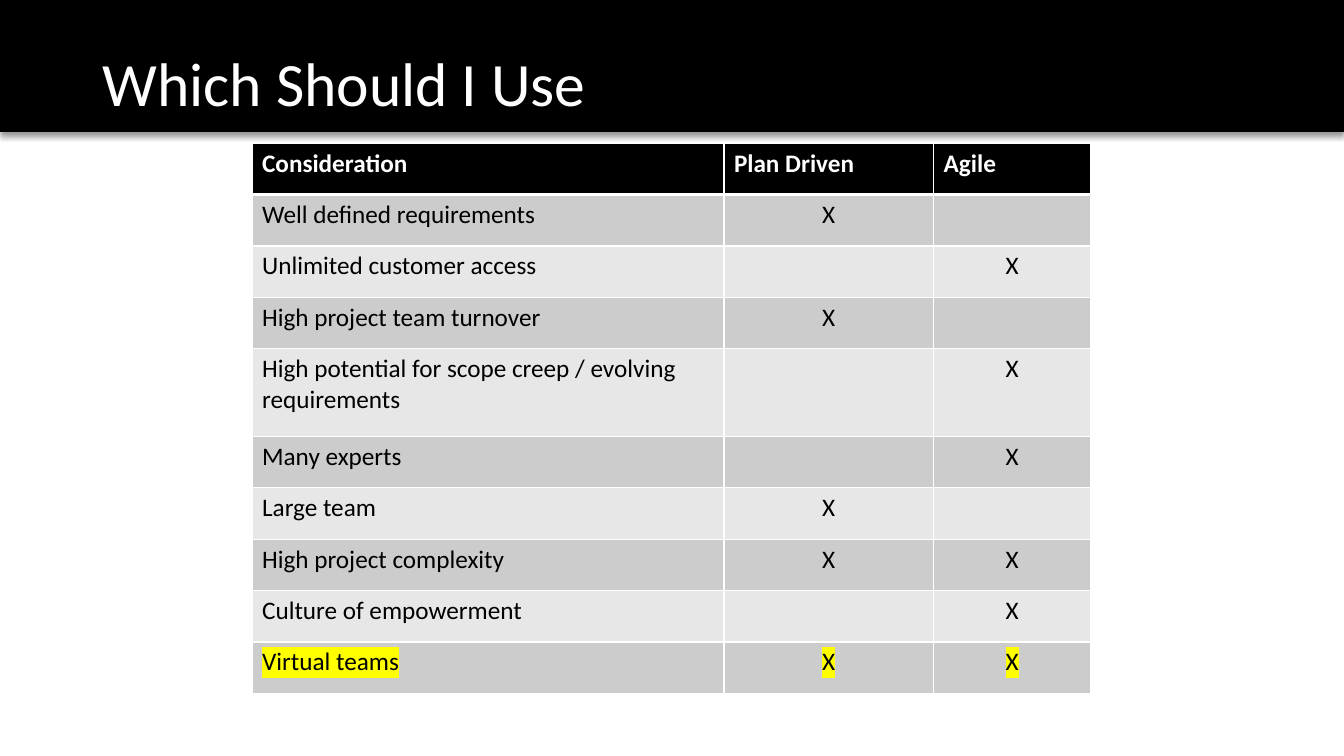
"""Build the slide that compares plan-driven and agile considerations."""
from dataclasses import dataclass

import pptx
import pptx.dml.color
import pptx.enum.shapes
import pptx.enum.text
import pptx.oxml
import pptx.oxml.ns
import pptx.util

Inches = pptx.util.Inches
Pt = pptx.util.Pt
ALIGN = pptx.enum.text.PP_ALIGN
NAMESPACE = pptx.oxml.ns.nsdecls("a")


@dataclass(frozen=True)
class Theme:
    """Colours, font and type sizes of the slide."""
    font: str = "Calibri"
    dark: str = "000000"
    light: str = "FFFFFF"
    bands: tuple = ("CCCCCC", "E7E7E7")
    highlight: str = "FFFF00"
    title_size: int = 44
    table_size: int = 18
    border: int = 1
    header_border: int = 3


THEME = Theme()
HEADERS = ("Consideration", "Plan Driven", "Agile")
CONSIDERATIONS = (
    ("Well defined requirements", "X", ""),
    ("Unlimited customer access", "", "X"),
    ("High project team turnover", "X", ""),
    ("High potential for scope creep / evolving requirements", "", "X"),
    ("Many experts", "", "X"),
    ("Large team", "X", ""),
    ("High project complexity", "X", "X"),
    ("Culture of empowerment", "", "X"),
    ("Virtual teams", "X", "X"),
)
COLUMN_WIDTHS = (4.68, 2.08, 1.56)
ROW_HEIGHT = 0.51
TALL_ROW, TALL_HEIGHT = 4, 0.87
HIGHLIGHTED_ROW = len(CONSIDERATIONS)


def rgb(color):
    """Return a colour object for a hex string."""
    return pptx.dml.color.RGBColor.from_string(color)


def add_run(paragraph, text, size, color, bold=False):
    """Add a styled run to a paragraph and return it."""
    run = paragraph.add_run()
    run.text = text
    run.font.name = THEME.font
    run.font.size = Pt(size)
    run.font.bold = bold
    run.font.color.rgb = rgb(color)
    return run


def highlight_run(run, color):
    """Mark the background of a run."""
    fill = run.font._element.find(pptx.oxml.ns.qn("a:solidFill"))
    fill.addnext(pptx.oxml.parse_xml(
        f'<a:highlight {NAMESPACE}><a:srgbClr val="{color}"/></a:highlight>'))


def add_banner(slide, width, height):
    """Add the dark title band with its soft shadow."""
    banner = slide.shapes.add_shape(
        pptx.enum.shapes.MSO_SHAPE.RECTANGLE, 0, 0, width, height)
    banner.fill.solid()
    banner.fill.fore_color.rgb = rgb(THEME.dark)
    banner.line.fill.background()
    banner._element.spPr.append(pptx.oxml.parse_xml(
        f'<a:effectLst {NAMESPACE}><a:outerShdw blurRad="{Pt(4)}" dist="{Pt(3)}" '
        f'dir="5400000" algn="t" rotWithShape="0"><a:srgbClr val="{THEME.dark}">'
        '<a:alpha val="40000"/></a:srgbClr></a:outerShdw></a:effectLst>'))


def add_title(slide, text):
    """Add the slide title over the band."""
    box = slide.shapes.add_textbox(Inches(0.92), Inches(0.4), Inches(11.5), Inches(0.91))
    frame = box.text_frame
    frame.word_wrap = True
    frame.vertical_anchor = pptx.enum.text.MSO_ANCHOR.MIDDLE
    paragraph = frame.paragraphs[0]
    paragraph.line_spacing = 0.9
    add_run(paragraph, text, THEME.title_size, THEME.light)


def set_borders(cell, top, bottom):
    """Draw light lines on all four sides of a cell."""
    properties = cell._tc.get_or_add_tcPr()
    sides = {"L": THEME.border, "R": THEME.border, "T": top, "B": bottom}
    for side, width in sides.items():
        properties.append(pptx.oxml.parse_xml(
            f'<a:ln{side} {NAMESPACE} w="{Pt(width)}"><a:solidFill>'
            f'<a:srgbClr val="{THEME.light}"/></a:solidFill></a:ln{side}>'))


def fill_cell(cell, text, row, column):
    """Style one table cell by its row and column, and write its text."""
    is_header = row == 0
    set_borders(cell,
                THEME.header_border if row == 1 else THEME.border,
                THEME.header_border if is_header else THEME.border)
    cell.fill.solid()
    cell.fill.fore_color.rgb = rgb(THEME.dark if is_header else THEME.bands[(row - 1) % 2])
    paragraph = cell.text_frame.paragraphs[0]
    if not text:
        paragraph.font.size = Pt(THEME.table_size)
        return
    if column and not is_header:
        paragraph.alignment = ALIGN.CENTER
    run = add_run(paragraph, text, THEME.table_size,
                  THEME.light if is_header else THEME.dark, bold=is_header)
    if row == HIGHLIGHTED_ROW:
        highlight_run(run, THEME.highlight)


def add_comparison(slide):
    """Add the table of considerations."""
    rows = (HEADERS, *CONSIDERATIONS)
    heights = [TALL_HEIGHT if row == TALL_ROW else ROW_HEIGHT for row in range(len(rows))]
    table = slide.shapes.add_table(
        len(rows), len(HEADERS), Inches(2.5), Inches(1.42),
        Inches(sum(COLUMN_WIDTHS)), Inches(sum(heights))).table
    for column, width in zip(table.columns, COLUMN_WIDTHS):
        column.width = Inches(width)
    for row, height in zip(table.rows, heights):
        row.height = Inches(height)
    for row, texts in enumerate(rows):
        for column, text in enumerate(texts):
            fill_cell(table.cell(row, column), text, row, column)


def main():
    """Build and save the presentation."""
    presentation = pptx.Presentation()
    presentation.slide_width = Inches(13.33)
    presentation.slide_height = Inches(7.5)
    slide = presentation.slides.add_slide(presentation.slide_layouts[6])
    add_banner(slide, presentation.slide_width, Inches(1.31))
    add_title(slide, "Which Should I Use")
    add_comparison(slide)
    presentation.save("out.pptx")


if __name__ == "__main__":
    main()
